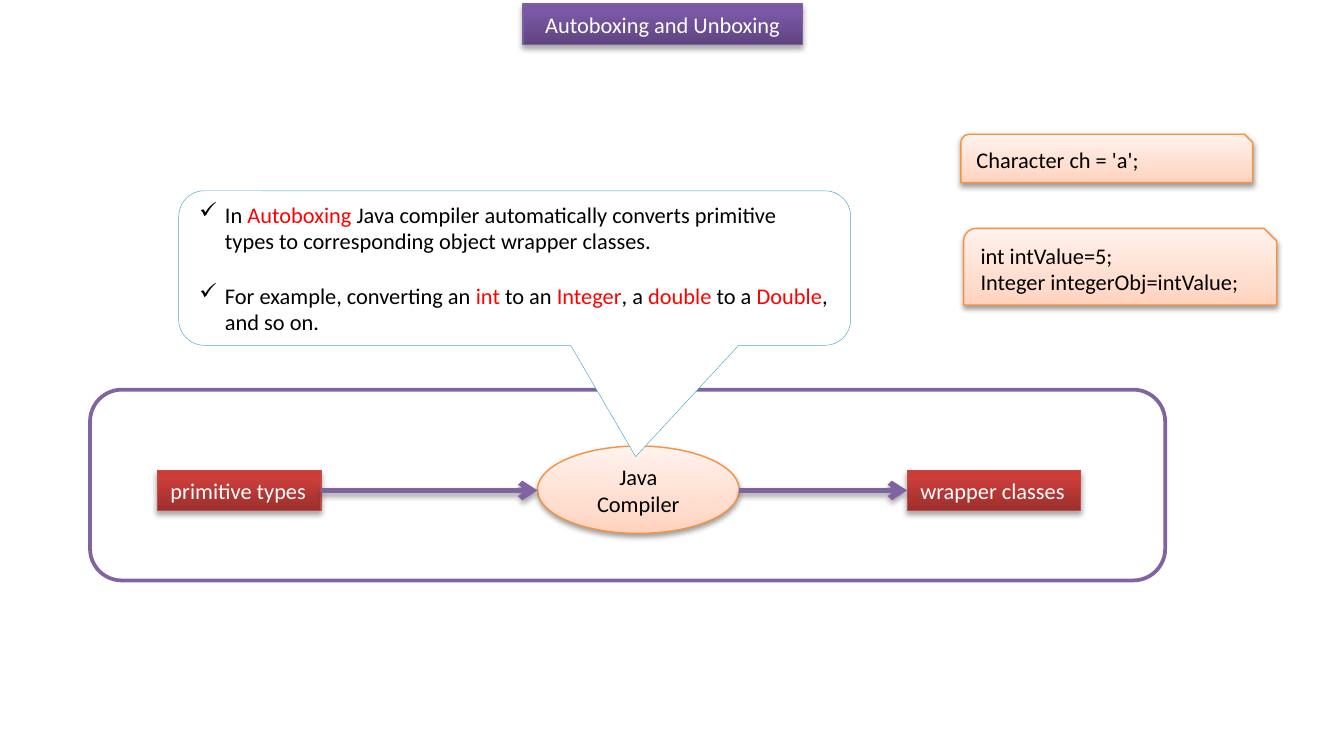
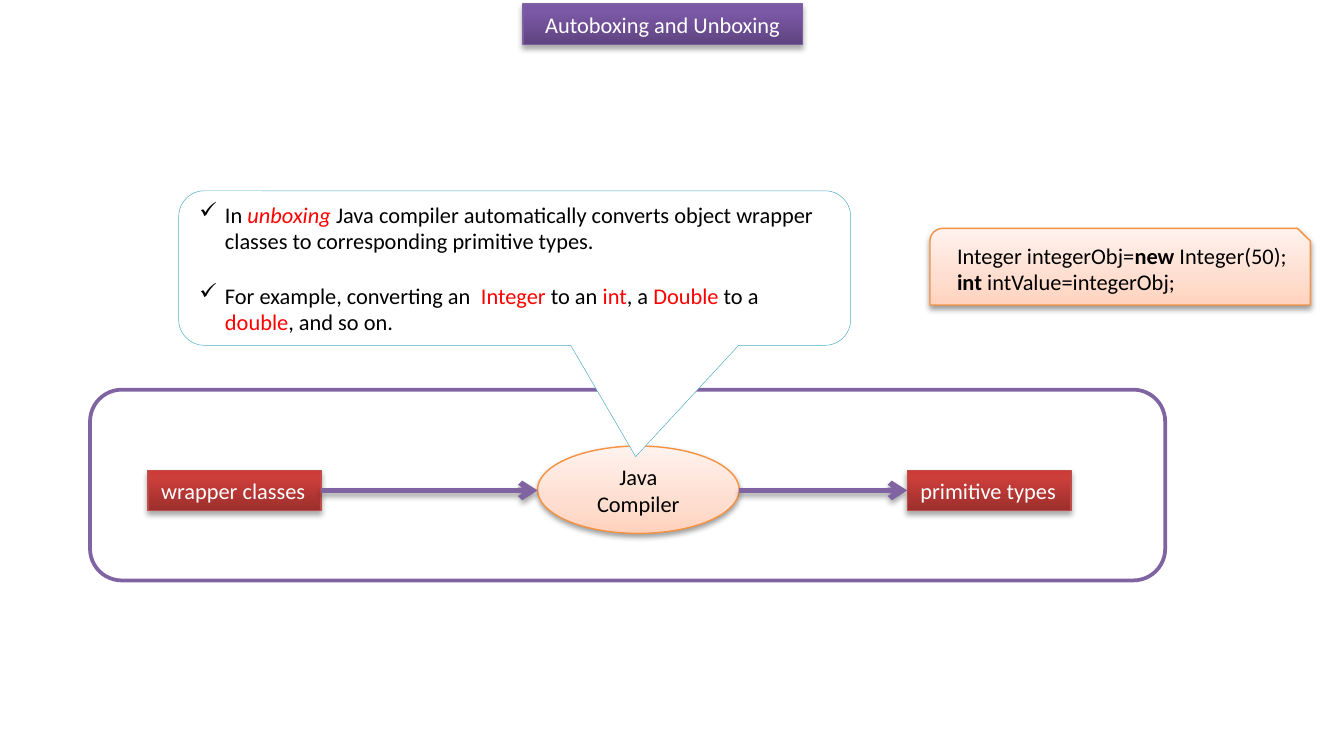
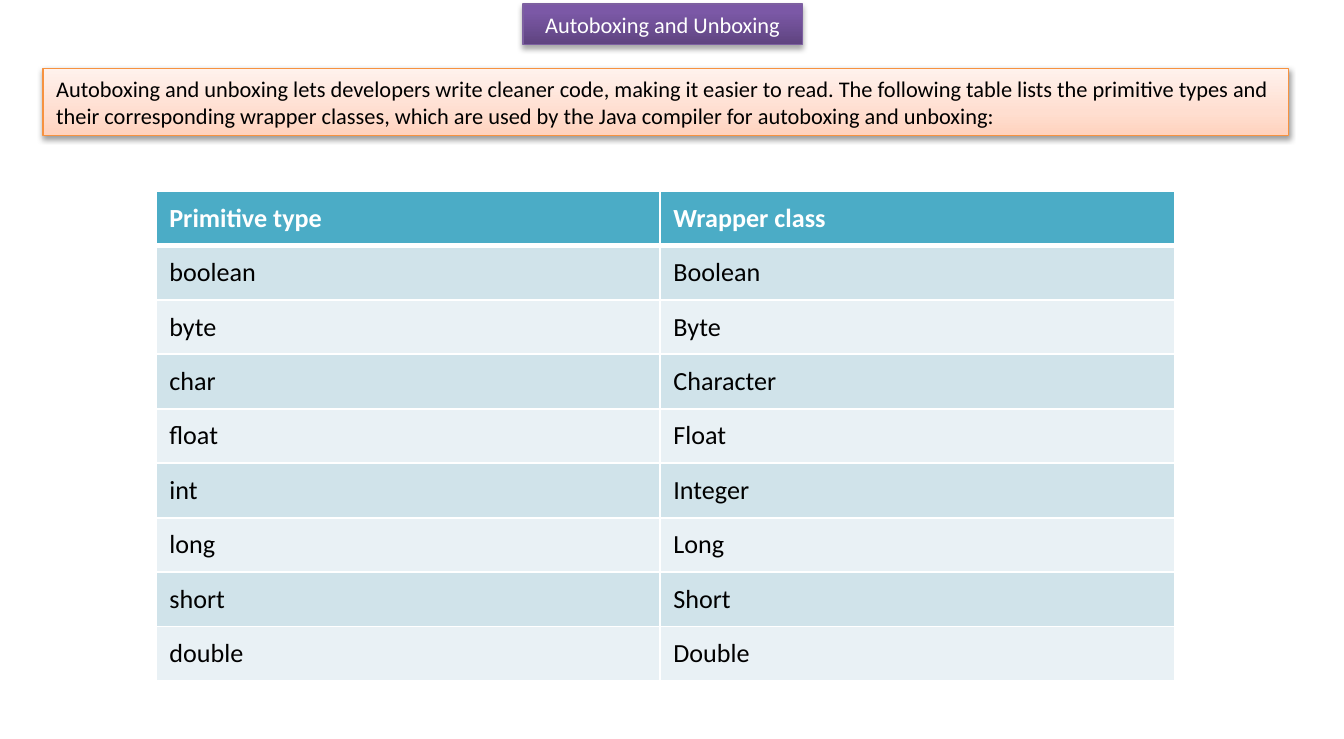
from lxml.etree import SubElement
from pptx import Presentation
from pptx.dml.color import RGBColor
from pptx.enum.shapes import MSO_CONNECTOR, MSO_SHAPE
from pptx.enum.text import MSO_ANCHOR, MSO_AUTO_SIZE, PP_ALIGN
from pptx.oxml.ns import qn
from pptx.util import Inches, Pt

FONT = "Calibri"
COLORS = {
    "white": "FFFFFF",
    "black": "000000",
    "keyword": "FF0000",
    "purple": "8064A2",
    "teal": "4BACC6",
    "band_dark": "D0E3EA",
    "band_light": "E9F1F5",
}
GRADIENTS = {
    "purple": {"stops": [(0, "5F4480"), (80, "7B58A6"), (100, "7C57A8")],
               "line": "7D60A0", "text": "white", "shadow": (35, 1.8)},
    "red": {"stops": [(0, "9C2F2D"), (80, "CB3E3A"), (100, "CE3B37")],
            "line": "BF4C48", "text": "white", "shadow": (35, 1.8)},
    "peach": {"stops": [(0, "FFD2BD"), (35, "FFDED0"), (100, "FFF2ED")],
              "line": "F69240", "text": "black", "shadow": (38, 1.6)},
}
TITLE = "Autoboxing and Unboxing"
LABEL_WIDTHS = {"primitive types": 1.22, "wrapper classes": 1.29}
LABEL_TOP, LABEL_HEIGHT = 3.5, 0.3
FLOW_Y = LABEL_TOP + LABEL_HEIGHT / 2
INPUT_RIGHT, OUTPUT_LEFT = 2.39, 6.75
COMPILER_LEFT, COMPILER_WIDTH = 4, 1.5

AUTOBOXING_POINTS = [
    [("In ", ""), ("Autoboxing", "keyword"),
     (" Java compiler automatically converts primitive types to "
      "corresponding object wrapper classes.", "")],
    [("For example, converting an ", ""), ("int", "keyword"), (" to an ", ""),
     ("Integer", "keyword"), (", a ", ""), ("double", "keyword"), (" to a ", ""),
     ("Double", "keyword"), (", and so on.", "")],
]
UNBOXING_POINTS = [
    [("In ", ""), ("unboxing ", "keyword italic"),
     ("Java compiler automatically converts object wrapper classes to "
      "corresponding primitive types.", "")],
    [("For example, converting an ", ""), (" Integer ", "keyword"), ("to an ", ""),
     ("int", "keyword"), (", a ", ""), ("Double", "keyword"), (" to a ", ""),
     ("double", "keyword"), (", and so on.", "")],
]
TYPE_ROWS = [
    ("Primitive type", "Wrapper class"),
    ("boolean", "Boolean"),
    ("byte", "Byte"),
    ("char", "Character"),
    ("float", "Float"),
    ("int", "Integer"),
    ("long", "Long"),
    ("short", "Short"),
    ("double", "Double"),
]


def rgb(name):
    return RGBColor.from_string(COLORS.get(name, name))


def add_color(parent, name):
    return SubElement(parent, qn("a:srgbClr"), val=COLORS.get(name, name))


def set_effects(shape, shadow=None):
    effects = SubElement(shape._element.spPr, qn("a:effectLst"))
    if shadow:
        alpha, distance = shadow
        outer = SubElement(effects, qn("a:outerShdw"), blurRad=str(Pt(3.1)),
                           dist=str(Pt(distance)), dir="5400000", rotWithShape="0")
        SubElement(add_color(outer, "black"), qn("a:alpha"), val=str(alpha * 1000))


def set_font(font, color, size=12, bold=False, italic=False):
    font.name = FONT
    font.size = Pt(size)
    font.bold = bold
    font.italic = italic
    font.color.rgb = rgb(color)


def add_plain_shape(slide, kind, box, line, line_width):
    shape = slide.shapes.add_shape(kind, *map(Inches, box))
    shape.fill.solid()
    shape.fill.fore_color.rgb = rgb("white")
    shape.line.color.rgb = rgb(line)
    shape.line.width = Pt(line_width)
    return shape


def add_gradient_shape(slide, kind, box, style_name):
    style = GRADIENTS[style_name]
    shape = add_plain_shape(slide, kind, box, style["line"], 0.75)
    shape.fill.gradient()
    shape.fill.gradient_angle = 90
    stops = shape._element.spPr.find(qn("a:gradFill")).find(qn("a:gsLst"))
    stops.clear()
    for position, color in style["stops"]:
        add_color(SubElement(stops, qn("a:gs"), pos=str(position * 1000)), color)
    set_effects(shape, style["shadow"])
    return shape


def write_runs(paragraph, runs, color="black"):
    paragraph.alignment = PP_ALIGN.LEFT
    for text, style in runs:
        run = paragraph.add_run()
        run.text = text
        set_font(run.font, "keyword" if "keyword" in style else color,
                 bold="bold" in style, italic="italic" in style)


def add_text_shape(slide, kind, box, style_name, text, alignment=PP_ALIGN.LEFT):
    shape = add_gradient_shape(slide, kind, box, style_name)
    shape.text_frame.text = text
    paragraph = shape.text_frame.paragraphs[0]
    paragraph.alignment = alignment
    set_font(paragraph.runs[0].font, GRADIENTS[style_name]["text"])
    return shape


def add_label(slide, box, style_name, text, alignment=PP_ALIGN.LEFT, wrap=True):
    label = add_text_shape(slide, MSO_SHAPE.RECTANGLE, box, style_name, text, alignment)
    label.text_frame.word_wrap = wrap
    label.text_frame.auto_size = MSO_AUTO_SIZE.SHAPE_TO_FIT_TEXT
    return label


def add_title(slide):
    add_label(slide, (3.89, 0.03, 2.08, 0.3), "purple", TITLE, PP_ALIGN.CENTER)


def add_type_label(slide, text, left):
    box = (left, LABEL_TOP, LABEL_WIDTHS[text], LABEL_HEIGHT)
    return add_label(slide, box, "red", text, wrap=False)


def add_arrow(slide, start, end):
    arrow = slide.shapes.add_connector(
        MSO_CONNECTOR.STRAIGHT, Inches(start), Inches(FLOW_Y), Inches(end), Inches(FLOW_Y))
    arrow.line.color.rgb = rgb("purple")
    arrow.line.width = Pt(3)
    SubElement(arrow.line._get_or_add_ln(), qn("a:tailEnd"), type="arrow")
    set_effects(arrow, (35, 1.8))
    return arrow


def add_callout(slide, points):
    callout = add_plain_shape(slide, MSO_SHAPE.ROUNDED_RECTANGULAR_CALLOUT,
                              (1.33, 1.42, 5, 1.15), "teal", 0.25)
    set_effects(callout)
    callout.adjustments[0] = 0.18
    callout.adjustments[1] = 1.22
    frame = callout.text_frame
    for index, runs in enumerate(points):
        paragraph = frame.add_paragraph() if index else frame.paragraphs[0]
        properties = paragraph._p.get_or_add_pPr()
        properties.set("marL", str(Inches(0.19)))
        properties.set("indent", str(-Inches(0.19)))
        SubElement(properties, qn("a:buChar"), char="✓")
        if index:
            paragraph.space_before = Pt(14.6)
        write_runs(paragraph, runs)


def add_code(slide, box, lines):
    frame = add_gradient_shape(slide, MSO_SHAPE.SNIP_ROUND_RECTANGLE, box, "peach").text_frame
    for index, runs in enumerate(lines):
        write_runs(frame.add_paragraph() if index else frame.paragraphs[0], runs)


def add_conversion(slide, source, target, points):
    frame = add_plain_shape(slide, MSO_SHAPE.ROUNDED_RECTANGLE,
                            (0.67, 2.9, 8, 1.42), "purple", 2)
    set_effects(frame)
    add_title(slide)
    source_label = add_type_label(slide, source, INPUT_RIGHT - LABEL_WIDTHS[source])
    target_label = add_type_label(slide, target, OUTPUT_LEFT)
    add_text_shape(slide, MSO_SHAPE.OVAL, (COMPILER_LEFT, 3.32, COMPILER_WIDTH, 0.65),
                   "peach", "Java Compiler", PP_ALIGN.CENTER)
    add_arrow(slide, INPUT_RIGHT, COMPILER_LEFT).begin_connect(source_label, 3)
    add_arrow(slide, COMPILER_LEFT + COMPILER_WIDTH, OUTPUT_LEFT).end_connect(target_label, 1)
    add_callout(slide, points)


def set_borders(cell, row):
    properties = cell._tc.get_or_add_tcPr()
    widths = {"lnL": 1, "lnR": 1, "lnT": 3 if row == 1 else 1, "lnB": 3 if row == 0 else 1}
    for side, width in widths.items():
        border = SubElement(properties, qn("a:" + side), w=str(Pt(width)))
        add_color(SubElement(border, qn("a:solidFill")), "white")


def add_type_table(slide):
    table = slide.shapes.add_table(len(TYPE_ROWS), 2, Inches(1.16), Inches(1.42),
                                   Inches(7.58), Inches(3.65)).table
    table.columns[0].width = Inches(3.75)
    table.columns[1].width = Inches(3.83)
    for row, texts in enumerate(TYPE_ROWS):
        header = row == 0
        fill = "teal" if header else "band_dark" if row % 2 else "band_light"
        for column, text in enumerate(texts):
            cell = table.cell(row, column)
            set_borders(cell, row)
            cell.fill.solid()
            cell.fill.fore_color.rgb = rgb(fill)
            cell.vertical_anchor = MSO_ANCHOR.MIDDLE
            cell.text_frame.text = text
            set_font(cell.text_frame.paragraphs[0].runs[0].font,
                     "white" if header else "black", size=14, bold=header)


def main():
    presentation = Presentation()
    presentation.slide_width = Inches(10)
    presentation.slide_height = Inches(5.5)
    blank = presentation.slide_layouts[6]

    slide = presentation.slides.add_slide(blank)
    add_conversion(slide, "primitive types", "wrapper classes", AUTOBOXING_POINTS)
    add_code(slide, (7.17, 1.7, 2.33, 0.57),
             [[("int intValue=5;", "")], [("Integer integerObj=intValue;", "")]])
    add_code(slide, (7.15, 1, 2.17, 0.36), [[("Character ch = 'a';", "")]])

    slide = presentation.slides.add_slide(blank)
    add_conversion(slide, "wrapper classes", "primitive types", UNBOXING_POINTS)
    add_code(slide, (6.92, 1.7, 2.83, 0.57),
             [[("  Integer integerObj=", ""), ("new", "bold"), (" Integer(50);", "")],
              [("  int ", "bold"), ("intValue=integerObj;", "")]])

    slide = presentation.slides.add_slide(blank)
    add_title(slide)
    add_type_table(slide)
    add_label(slide, (0.32, 0.51, 9.27, 0.5), "peach",
              "Autoboxing and unboxing lets developers write cleaner code, making it easier "
              "to read. The following table lists the primitive types and their corresponding "
              "wrapper classes, which are used by the Java compiler for autoboxing and unboxing:")

    presentation.save("out.pptx")


if __name__ == "__main__":
    main()
